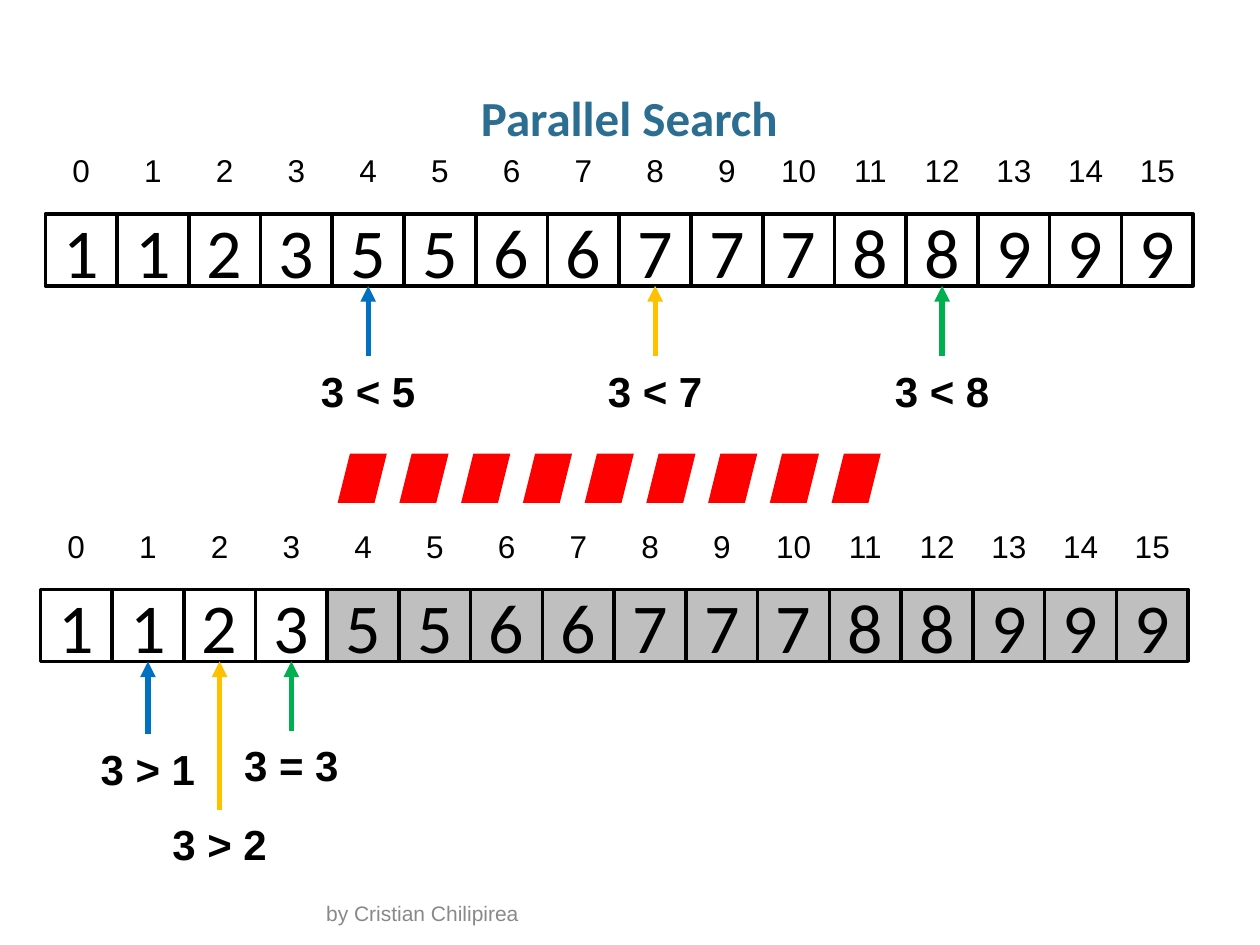
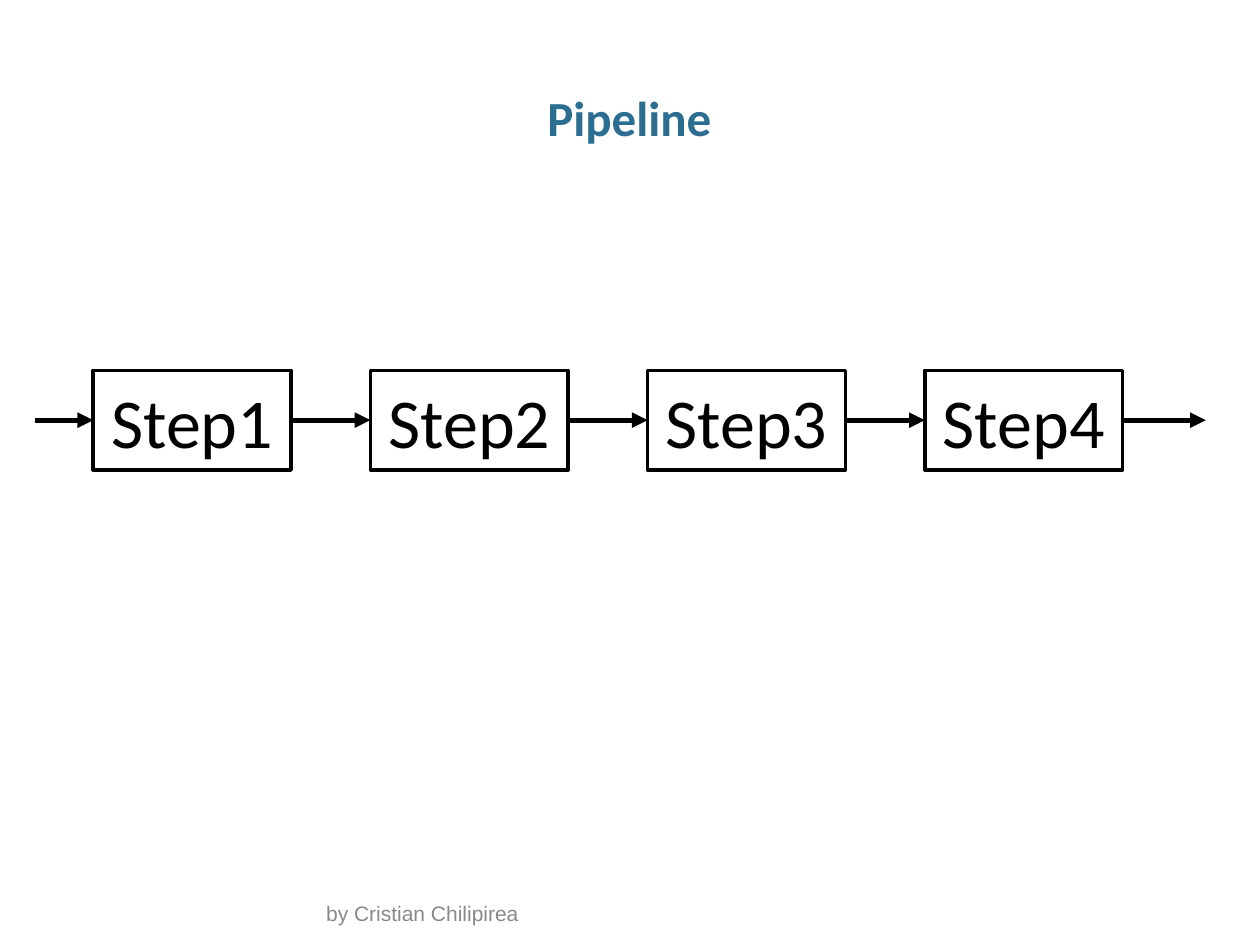
from lxml.etree import SubElement
from pptx import Presentation
from pptx.dml.color import RGBColor
from pptx.enum.shapes import MSO_CONNECTOR, MSO_SHAPE
from pptx.enum.text import MSO_ANCHOR, PP_ALIGN
from pptx.oxml.ns import qn
from pptx.util import Inches, Pt

BLACK = RGBColor(0x00, 0x00, 0x00)
TITLE_BLUE = RGBColor(0x2C, 0x6D, 0x92)
FOOTER_GRAY = RGBColor(0x89, 0x89, 0x89)
DISCARDED_GRAY = RGBColor(0xBF, 0xBF, 0xBF)
BLUE = RGBColor(0x00, 0x70, 0xC0)
AMBER = RGBColor(0xFF, 0xC0, 0x00)
GREEN = RGBColor(0x00, 0xB0, 0x50)
RED = RGBColor(0xFF, 0x00, 0x00)

VALUES = [1, 1, 2, 3, 5, 5, 6, 6, 7, 7, 7, 8, 8, 9, 9, 9]
ROW_WIDTH = 9.11
TOP, LEFT, BOTTOM, RIGHT = range(4)


def style_text(tf, text, size, font="Arial", color=BLACK, bold=False, align=PP_ALIGN.CENTER):
    """Write one paragraph into a text frame and return it."""
    p = tf.paragraphs[0]
    p.text = text
    p.alignment = align
    p.font.size = Pt(size)
    p.font.name = font
    p.font.color.rgb = color
    p.font.bold = bold
    return p


def add_label(slide, x, y, w, h, text, size, **style):
    """Add a text box and return its frame and paragraph."""
    tf = slide.shapes.add_textbox(Inches(x), Inches(y), Inches(w), Inches(h)).text_frame
    tf.word_wrap = True
    return tf, style_text(tf, text, size, **style)


def add_cell(slide, x, y, w, h, text, fill=None):
    """Add an outlined rectangle with a large centred text."""
    sp = slide.shapes.add_shape(MSO_SHAPE.RECTANGLE, Inches(x), Inches(y), Inches(w), Inches(h))
    sp.shadow.inherit = False
    if fill is None:
        sp.fill.background()
    else:
        sp.fill.solid()
        sp.fill.fore_color.rgb = fill
    sp.line.color.rgb = BLACK
    sp.line.width = Pt(2)
    sp.text_frame.vertical_anchor = MSO_ANCHOR.MIDDLE
    style_text(sp.text_frame, text, 40, "Calibri")
    return sp


def add_arrow(slide, start, end, color):
    """Draw an arrow between points in inches or (shape, side) pairs."""
    points = [(0, 0) if hasattr(point[0], "shape_type") else point for point in (start, end)]
    line = slide.shapes.add_connector(
        MSO_CONNECTOR.STRAIGHT, *(Inches(v) for point in points for v in point))
    for point, connect in ((start, line.begin_connect), (end, line.end_connect)):
        if hasattr(point[0], "shape_type"):
            connect(*point)
    line.line.color.rgb = color
    line.line.width = Pt(3)
    SubElement(line.line._get_or_add_ln(), qn("a:tailEnd"), type="triangle")
    SubElement(line._element.spPr, qn("a:effectLst"))


def new_slide(prs, title):
    """Add a blank slide with the shared footer and title."""
    slide = prs.slides.add_slide(prs.slide_layouts[6])
    tf, p = add_label(slide, 2.49, 7.16, 5.02, 0.24, "by Cristian Chilipirea", 12,
                      color=FOOTER_GRAY, align=PP_ALIGN.LEFT)
    tf.vertical_anchor = MSO_ANCHOR.BOTTOM
    tf, p = add_label(slide, 0.34, 0.68, 9.31, 0.5, title, 28,
                      font="Calibri", color=TITLE_BLUE, bold=True)
    tf.margin_left = tf.margin_right = 0
    p.line_spacing = 0.95
    return slide


def add_array(slide, x, y, probes, kept=len(VALUES)):
    """Draw the indexed array, graying cells from kept on, with probe arrows below."""
    size = ROW_WIDTH / len(VALUES)
    cells = []
    for i, value in enumerate(VALUES):
        fill = None if i < kept else DISCARDED_GRAY
        cells.append(add_cell(slide, x + i * size, y, size, size, str(value), fill))
        add_label(slide, x + i * size, y - 0.55, size, 0.4, str(i), 18)
    for i, text, color, length in probes:
        center = x + (i + 0.5) * size
        foot = y + size + length
        add_arrow(slide, (center, foot), (cells[i], BOTTOM), color)
        add_label(slide, center - 0.48, foot + 0.02, 0.96, 0.5, text, 24, bold=True)


def add_divider(slide, x, y, count=9, size=0.39, pitch=0.49):
    """Draw a row of red slanted blocks."""
    for i in range(count):
        sp = slide.shapes.add_shape(MSO_SHAPE.PARALLELOGRAM, Inches(x + i * pitch), Inches(y),
                                    Inches(size), Inches(size))
        sp.shadow.inherit = False
        sp.fill.solid()
        sp.fill.fore_color.rgb = RED
        sp.line.fill.background()


def build_search(prs):
    """Build the slide with two rounds of a parallel search."""
    slide = new_slide(prs, "Parallel Search")
    add_array(slide, 0.36, 1.7, [(4, "3 < 5", BLUE, 0.56),
                                 (8, "3 < 7", AMBER, 0.56),
                                 (12, "3 < 8", GREEN, 0.56)])
    add_array(slide, 0.32, 4.68, [(1, "3 > 1", BLUE, 0.58),
                                  (2, "3 > 2", AMBER, 1.18),
                                  (3, "3 = 3", GREEN, 0.55)], kept=4)
    add_divider(slide, 2.68, 3.6)


def build_pipeline(prs, x=0.74, y=2.94, w=1.57, h=0.79, pitch=2.2):
    """Build the slide with four steps joined by arrows."""
    slide = new_slide(prs, "Pipeline")
    steps = [add_cell(slide, x + i * pitch, y, w, h, f"Step{i + 1}") for i in range(4)]
    middle = y + h / 2
    starts = [(0.28, middle)] + [(step, RIGHT) for step in steps]
    ends = [(step, LEFT) for step in steps] + [(9.57, middle)]
    for start, end in zip(starts, ends):
        add_arrow(slide, start, end, BLACK)


def main():
    """Build and save the presentation."""
    prs = Presentation()
    prs.slide_width = Inches(10)
    prs.slide_height = Inches(7.5)
    build_search(prs)
    build_pipeline(prs)
    prs.save("out.pptx")


if __name__ == "__main__":
    main()
